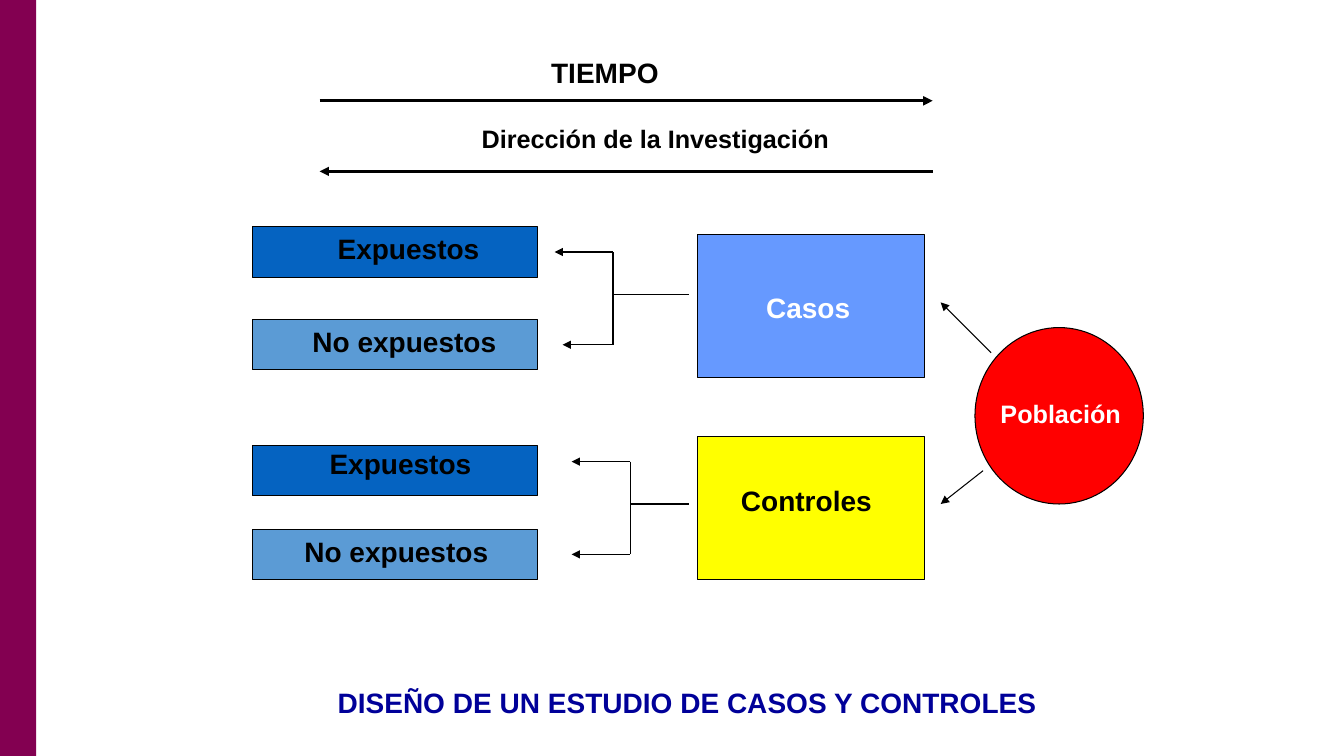
from lxml import etree
from pptx import Presentation
from pptx.dml.color import RGBColor
from pptx.enum.shapes import MSO_CONNECTOR, MSO_SHAPE
from pptx.enum.text import MSO_AUTO_SIZE, PP_ALIGN
from pptx.oxml.ns import qn
from pptx.util import Inches, Pt

RECT, OVAL = MSO_SHAPE.RECTANGLE, MSO_SHAPE.OVAL
STRAIGHT = MSO_CONNECTOR.STRAIGHT
LEFT, CENTER = PP_ALIGN.LEFT, PP_ALIGN.CENTER
GROW = MSO_AUTO_SIZE.SHAPE_TO_FIT_TEXT

FONT = "Arial"
BLACK, WHITE, NAVY = "000000", "FFFFFF", "000099"
WINE, RED, YELLOW = "830051", "FF0000", "FFFF00"
DARK, LIGHT, PALE = "0563C1", "5B9BD5", "6699FF"
THIN, THICK = 0.75, 2.25

BAND = (0, 0, 0.36, 7.5)
BARS = [(2.25, DARK), (3.17, LIGHT), (4.42, DARK), (5.25, LIGHT)]
GROUPS = [(2.33, PALE), (4.33, YELLOW)]
CIRCLE = (9.67, 3.25, 1.67, 1.75)

ARROWS = [
    (3.17, 1, 9.25, 1, THICK),
    (9.25, 1.7, 3.17, 1.7, THICK),
    (9.83, 3.5, 9.33, 3, THIN),
    (9.75, 4.67, 9.33, 5, THIN),
]
ROOT = 6.83
FORKS = [
    (6.08, 2.92, [(5.5, 2.5), (5.58, 3.42)]),
    (6.25, 5, [(5.67, 4.58), (5.67, 5.5)]),
]

LABELS = [
    ("TIEMPO", 3.75, 0.5, 4.5, 20, BLACK, CENTER),
    ("Dirección de la Investigación", 4.25, 1.17, 4.5, 18, BLACK, CENTER),
    ("Expuestos", 3.25, 2.25, 1.83, 20, BLACK, LEFT),
    ("No expuestos", 3, 3.17, 2.08, 20, BLACK, LEFT),
    ("Expuestos", 3.17, 4.38, 1.92, 20, BLACK, LEFT),
    ("No expuestos", 2.92, 5.25, 2.08, 20, BLACK, LEFT),
    ("Casos", 7.5, 2.83, 1.17, 20, WHITE, LEFT),
    ("Controles", 7.25, 4.75, 1.58, 20, BLACK, LEFT),
    ("Población", 9.73, 3.9, 1.58, 18, WHITE, CENTER),
    ("DISEÑO DE UN ESTUDIO DE CASOS Y CONTROLES", 3.25, 6.75, 7.33, 20, NAVY, LEFT),
]

deck = Presentation()
deck.slide_width, deck.slide_height = Inches(13.33), Inches(7.5)
slide = deck.slides.add_slide(deck.slide_layouts[6])
shapes = slide.shapes


def paint(target, color):
    target.solid()
    target.fore_color.rgb = RGBColor.from_string(color)


def add_block(kind, box, color, edge=True):
    block = shapes.add_shape(kind, *map(Inches, box))
    block.shadow.inherit = False
    paint(block.fill, color)
    if edge:
        paint(block.line.fill, BLACK)
        block.line.width = Pt(THIN)
    else:
        block.line.fill.background()


def add_line(x1, y1, x2, y2, width=THIN, arrow=False):
    line = shapes.add_connector(STRAIGHT, *map(Inches, (x1, y1, x2, y2)))
    paint(line.line.fill, BLACK)
    line.line.width = Pt(width)
    if arrow:
        etree.SubElement(line.line._get_or_add_ln(), qn("a:tailEnd"), type="triangle")
    etree.SubElement(line._element.spPr, qn("a:effectLst"))


def add_label(text, x, y, width, size, color, align):
    height = 0.43 if size == 20 else 0.4
    frame = shapes.add_textbox(*map(Inches, (x, y, width, height))).text_frame
    frame.word_wrap = True
    frame.auto_size = GROW
    para = frame.paragraphs[0]
    para.text = text
    para.alignment = align
    para.font.name = FONT
    para.font.size = Pt(size)
    para.font.bold = True
    paint(para.font.fill, color)


add_block(RECT, BAND, WINE, edge=False)
for top, color in BARS:
    add_block(RECT, (2.5, top, 2.83, 0.5), color)
for top, color in GROUPS:
    add_block(RECT, (6.92, top, 2.25, 1.42), color)
add_block(OVAL, CIRCLE, RED)

for *ends, width in ARROWS:
    add_line(*ends, width, arrow=True)
for stem, mid, tips in FORKS:
    add_line(ROOT, mid, stem, mid)
    add_line(stem, tips[0][1], stem, tips[1][1])
    for tip, y in tips:
        add_line(stem, y, tip, y, arrow=True)

for label in LABELS:
    add_label(*label)

deck.save("out.pptx")
